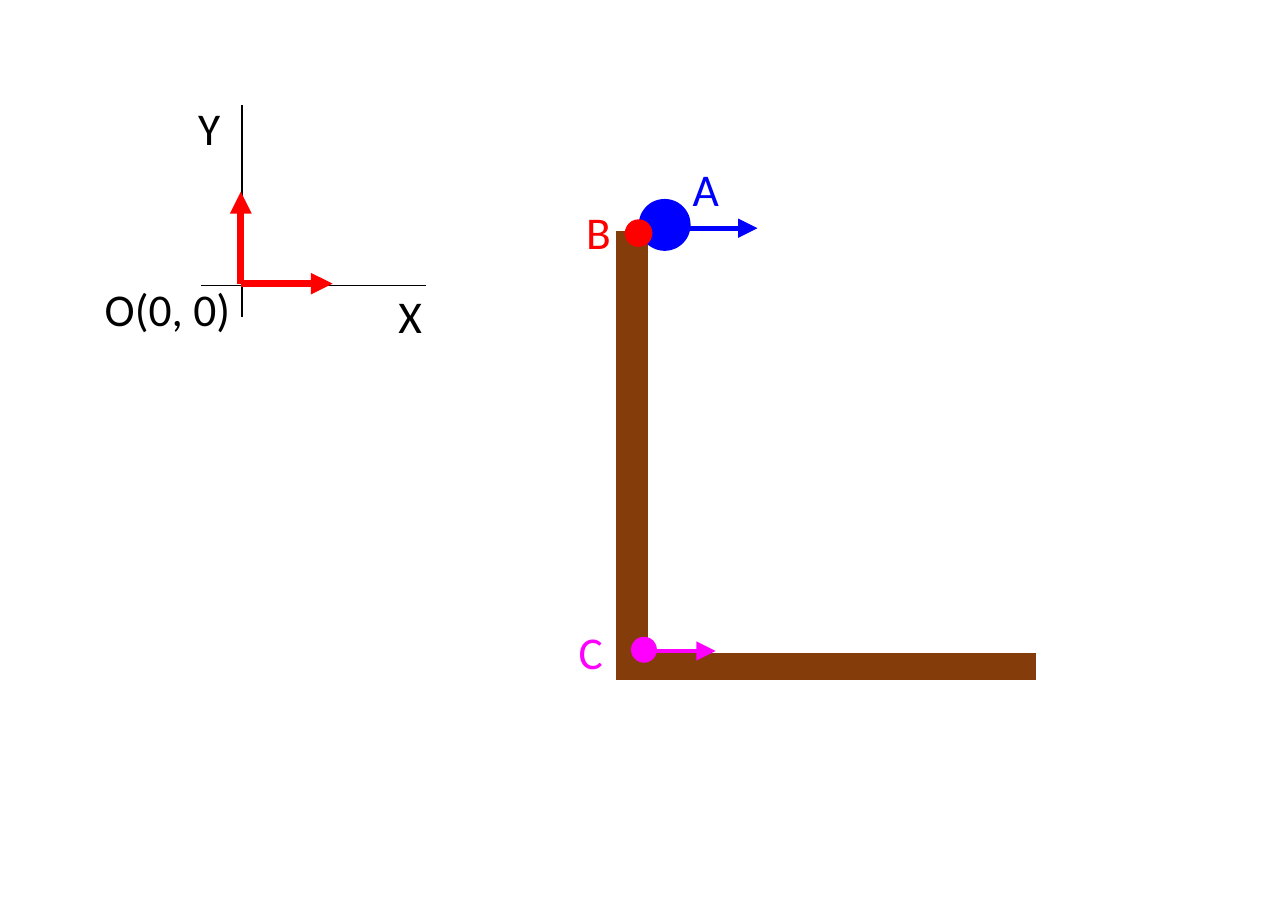
import dataclasses

import pptx
import pptx.dml.color
import pptx.enum.shapes
import pptx.enum.text
import pptx.oxml
import pptx.oxml.ns
import pptx.util

Pt = pptx.util.Pt
Shapes = pptx.enum.shapes.MSO_SHAPE
Align = pptx.enum.text.PP_ALIGN


@dataclasses.dataclass(frozen=True)
class Theme:
    """Colours, type and line widths of the diagram."""
    black: str = "000000"
    red: str = "FF0000"
    blue: str = "0000FF"
    magenta: str = "FF00FF"
    brown: str = "843C0B"
    font: str = "Calibri"
    label_size: float = 14
    axis_line: float = 0.5
    outline: float = 1
    motion_line: float = 1.5
    unit_line: float = 2.25


@dataclasses.dataclass(frozen=True)
class Box:
    """A region of the page, in points."""
    left: float
    top: float
    width: float
    height: float

    def inner(self, left, top, width, height):
        """Return a box placed relative to this one."""
        return Box(self.left + left, self.top + top, width, height)

    def lengths(self):
        """Return left, top, width and height as lengths."""
        return [Pt(value) for value in (self.left, self.top, self.width, self.height)]


THEME = Theme()


def rgb(colour):
    """Turn a hex string into a colour."""
    return pptx.dml.color.RGBColor.from_string(colour)


def element(tag, attributes=""):
    """Make an empty drawing element."""
    return pptx.oxml.parse_xml(f'<a:{tag} {pptx.oxml.ns.nsdecls("a")} {attributes}/>')


def add_line(page, box, start, end, colour, width, arrow=False):
    """Draw a line between two points of a box."""
    begin_x, begin_y = box.left + start[0], box.top + start[1]
    end_x, end_y = box.left + end[0], box.top + end[1]
    line = page.shapes.add_connector(
        pptx.enum.shapes.MSO_CONNECTOR.STRAIGHT,
        Pt(begin_x), Pt(begin_y), Pt(end_x), Pt(end_y))
    line.line.color.rgb = rgb(colour)
    line.line.width = Pt(width)
    if arrow:
        line.line._get_or_add_ln().append(element("tailEnd", 'type="triangle"'))
    line._element.spPr.append(element("effectLst"))


def add_solid(page, kind, box, colour):
    """Draw a shape filled and outlined in one colour."""
    shape = page.shapes.add_shape(kind, *box.lengths())
    shape.shadow.inherit = False
    shape.fill.solid()
    shape.fill.fore_color.rgb = rgb(colour)
    shape.line.color.rgb = rgb(colour)
    shape.line.width = Pt(THEME.outline)
    shape.line._get_or_add_ln().append(element("miter", 'lim="800000"'))


def add_label(page, box, text, colour, align=Align.LEFT):
    """Write a one-line label."""
    frame = page.shapes.add_textbox(*box.lengths()).text_frame
    frame.word_wrap = False
    frame.auto_size = pptx.enum.text.MSO_AUTO_SIZE.SHAPE_TO_FIT_TEXT
    para = frame.paragraphs[0]
    para.text = text
    para.alignment = align
    para.font.name = THEME.font
    para.font.size = Pt(THEME.label_size)
    para.font.color.rgb = rgb(colour)


def draw_axes(page, box):
    """Draw the coordinate axes, unit vectors and their labels."""
    origin = (50.2, 60.4)
    reach = 28.3
    add_line(page, box, (50.6, 5.3), (50.6, 70.7), THEME.black, THEME.axis_line)
    add_line(page, box, (38, 61), (107.2, 61), THEME.black, THEME.axis_line)
    for end in ((origin[0] + reach, origin[1]), (origin[0], origin[1] - reach)):
        add_line(page, box, origin, end, THEME.red, THEME.unit_line, arrow=True)
    add_label(page, box.inner(91.7, 58.2, 21.6, 24.5), "X", THEME.black)
    add_label(page, box.inner(30, 0.4, 21.6, 24.5), "Y", THEME.black)
    add_label(page, box.inner(0.8, 56.2, 53.3, 24.5), "O(0, 0)", THEME.black, Align.RIGHT)


def draw_track(page, box):
    """Draw the wall and floor with the points A, B and C."""
    for bar in ((19.2, 155.6, 128.4, 7.4), (19.2, 25.6, 8.9, 137.4)):
        add_solid(page, Shapes.RECTANGLE, box.inner(*bar), THEME.brown)
    points = (
        ("A", THEME.blue, (26.3, 15.8), 15, (35.3, 0.1)),
        ("B", THEME.red, (22, 22.1), 7.5, (2.5, 13.5)),
        ("C", THEME.magenta, (23.9, 150.7), 7, (0.2, 142.8)),
    )
    for text, colour, corner, size, label in points:
        add_solid(page, Shapes.OVAL, box.inner(*corner, size, size), colour)
        add_label(page, box.inner(*label, 23, 24.5), text, colour)
    for start, colour in (((37.9, 24.3), THEME.blue), ((25, 154.6), THEME.magenta)):
        end = (start[0] + 24.5, start[1])
        add_line(page, box, start, end, colour, THEME.motion_line, arrow=True)


def main():
    """Build and save the one-page deck."""
    deck = pptx.Presentation()
    deck.slide_width, deck.slide_height = Pt(396.85), Pt(283.46)
    page = deck.slides.add_slide(deck.slide_layouts[6])
    draw_axes(page, Box(24, 27, 114, 82))
    draw_track(page, Box(171, 46, 148, 167))
    deck.save("out.pptx")


if __name__ == "__main__":
    main()
